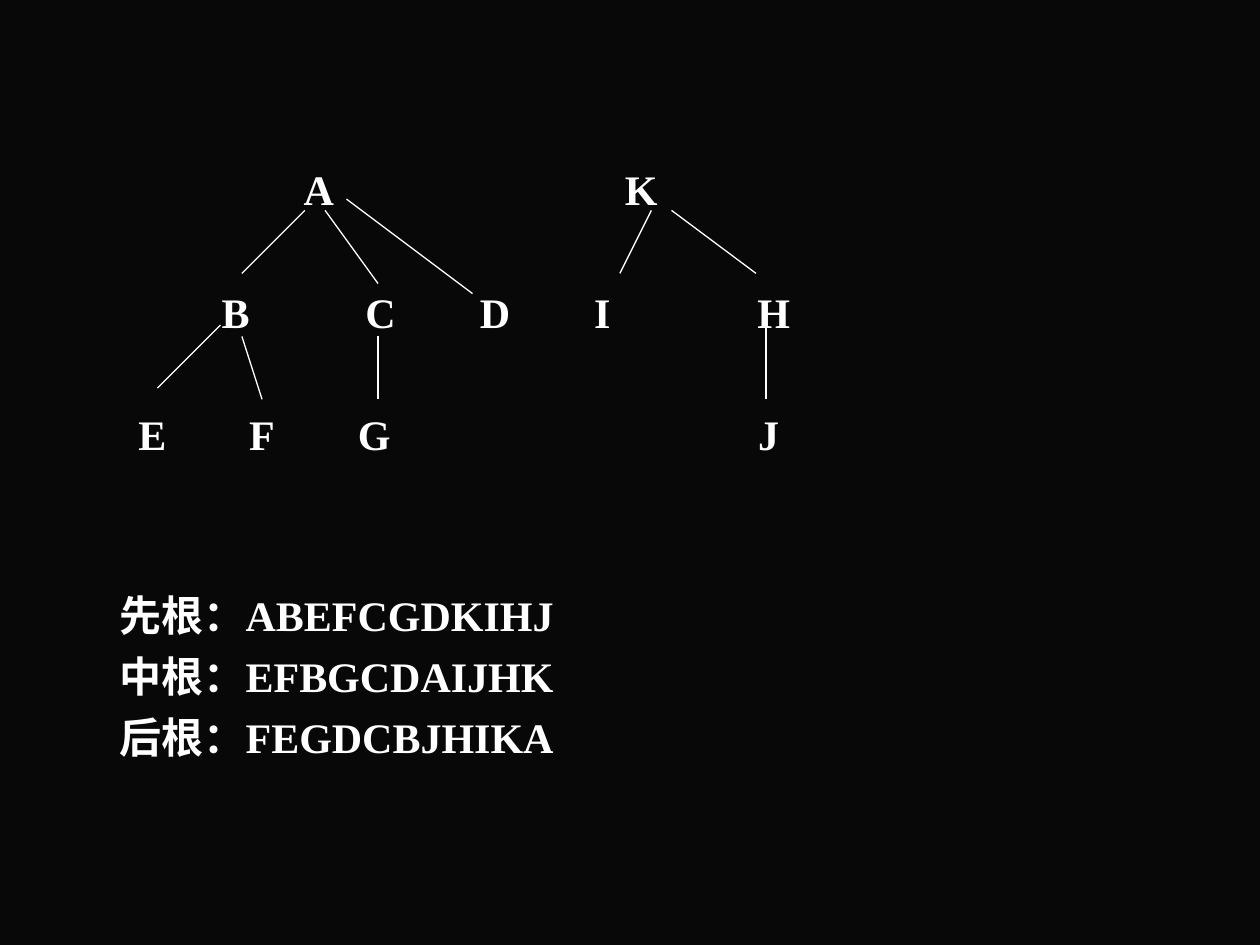
from lxml import etree
from pptx import Presentation
from pptx.dml.color import RGBColor
from pptx.enum import shapes, text
from pptx.oxml.ns import qn
from pptx.util import Inches, Pt

BACKGROUND, INK = "080808", "FFFFFF"
FONT, SIZE = "Times New Roman", 24
LEVEL_GAP = 0.97
LABEL_W, LABEL_H = 0.5, 0.38

# Node: (letter, centre x, level); edge: (x1, y1, x2, y2); all within the tree's box
TREE_A = {
    "nodes": [("A", 1.53, 0), ("B", 0.87, 1), ("C", 2.02, 1), ("D", 2.93, 1),
              ("E", 0.21, 2), ("F", 1.08, 2), ("G", 1.97, 2)],
    "edges": [(1.42, 0.37, 0.92, 0.87), (0.75, 1.28, 0.25, 1.78),
              (0.92, 1.37, 1.08, 1.87), (1.58, 0.37, 2, 0.95),
              (2, 1.37, 2, 1.87), (1.75, 0.28, 2.75, 1.03)],
}
TREE_K = {
    "nodes": [("K", 0.59, 0), ("I", 0.28, 1), ("H", 1.64, 1), ("J", 1.6, 2)],
    "edges": [(0.67, 0.37, 0.42, 0.87), (0.83, 0.37, 1.5, 0.87),
              (1.58, 1.28, 1.58, 1.87)],
}
TRAVERSALS = [("先根：", "ABEFCGDKIHJ"),
              ("中根：", "EFBGCDAIJHK"),
              ("后根：", "FEGDCBJHIKA")]


def color(hex_code):
    return RGBColor.from_string(hex_code)


def add_text_frame(slide, left, top, width, height):
    box = slide.shapes.add_textbox(Inches(left), Inches(top),
                                   Inches(width), Inches(height))
    frame = box.text_frame
    frame.word_wrap = True
    frame.margin_left = frame.margin_right = 0
    frame.margin_top = frame.margin_bottom = 0
    return frame


def add_run(paragraph, words):
    run = paragraph.add_run()
    run.text = words
    run.font.name = FONT
    run.font.size = Pt(SIZE)
    run.font.bold = True
    run.font.color.rgb = color(INK)


def add_edge(slide, x1, y1, x2, y2):
    edge = slide.shapes.add_connector(shapes.MSO_CONNECTOR.STRAIGHT,
                                      Inches(x1), Inches(y1),
                                      Inches(x2), Inches(y2))
    edge.line.color.rgb = color(INK)
    edge.line.width = Pt(0.75)
    etree.SubElement(edge._element.spPr, qn("a:effectLst"))


def add_tree(slide, left, top, tree):
    # Letters, one row per level
    for letter, x, level in tree["nodes"]:
        frame = add_text_frame(slide, left + x - LABEL_W / 2,
                               top + level * LEVEL_GAP, LABEL_W, LABEL_H)
        paragraph = frame.paragraphs[0]
        paragraph.alignment = text.PP_ALIGN.CENTER
        add_run(paragraph, letter)

    # Branches
    for x1, y1, x2, y2 in tree["edges"]:
        add_edge(slide, left + x1, top + y1, left + x2, top + y2)


def add_traversals(slide, left, top, width, height):
    frame = add_text_frame(slide, left, top, width, height)
    for i, (order, letters) in enumerate(TRAVERSALS):
        paragraph = frame.paragraphs[0] if i == 0 else frame.add_paragraph()
        paragraph.line_spacing = Pt(28.8)
        paragraph.space_before = Pt(6 if i else 0)
        add_run(paragraph, order)
        add_run(paragraph, letters)


def main():
    deck = Presentation()
    deck.slide_width, deck.slide_height = Inches(10), Inches(7.5)
    slide = deck.slides.add_slide(deck.slide_layouts[6])
    slide.background.fill.solid()
    slide.background.fill.fore_color.rgb = color(BACKGROUND)

    # Forest of two trees
    add_tree(slide, 1, 1.3, TREE_A)
    add_tree(slide, 4.5, 1.3, TREE_K)

    # Traversal orders
    add_traversals(slide, 0.95, 4.68, 5, 1.4)

    deck.save("out.pptx")


if __name__ == "__main__":
    main()
